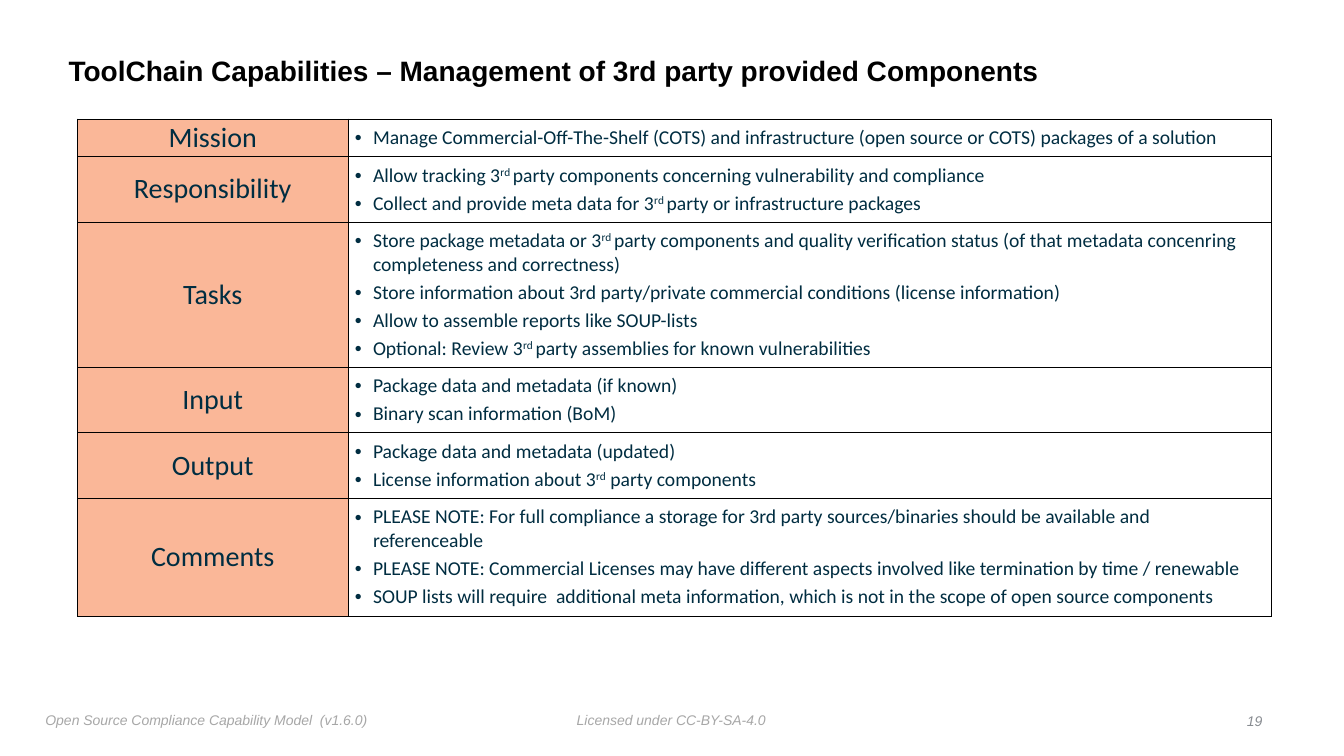
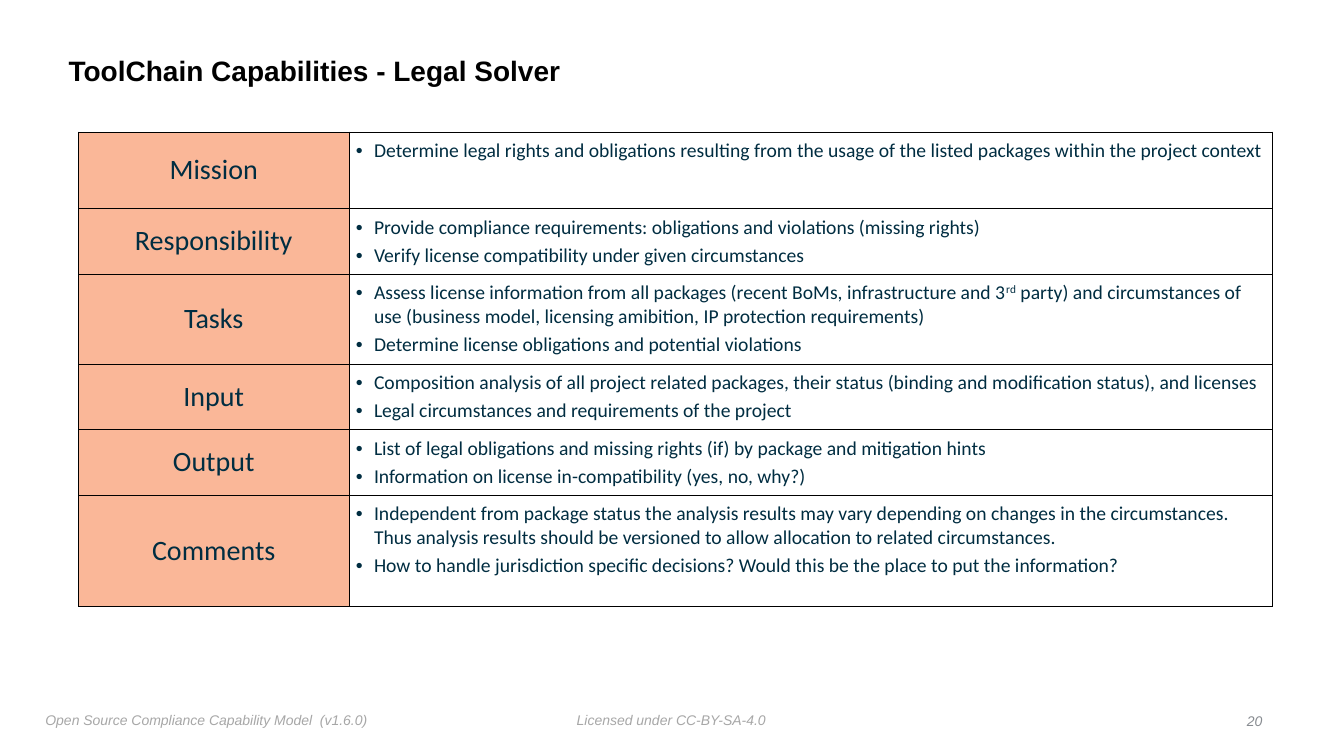
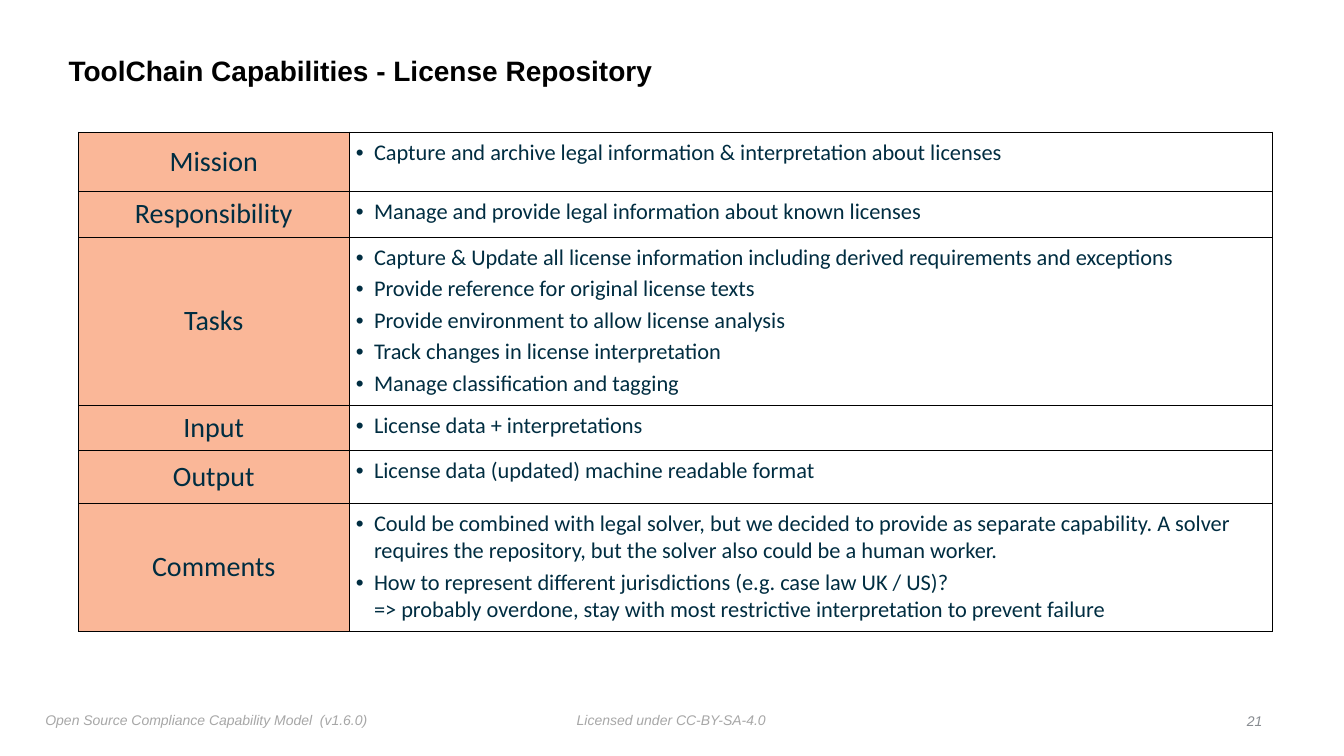
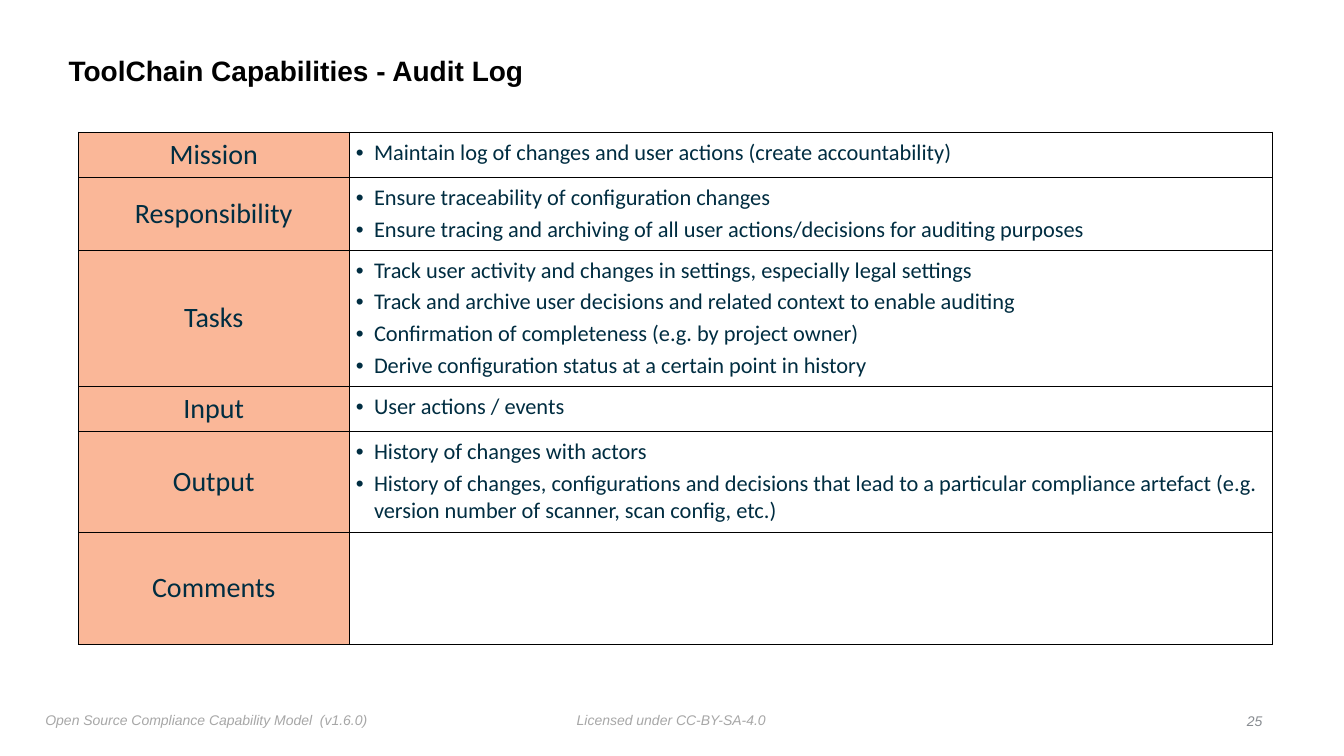
from lxml.etree import SubElement
from pptx import Presentation
from pptx.dml.color import RGBColor
from pptx.enum.text import MSO_ANCHOR as Anchor, PP_ALIGN as Align
from pptx.oxml.ns import qn
from pptx.util import Inches, Pt

BLACK = RGBColor(0x00, 0x00, 0x00)
NAVY = RGBColor(0x00, 0x2D, 0x41)
PEACH = RGBColor(0xFA, 0xB7, 0x98)
FOOTER_GREY = RGBColor(0xA7, 0xA7, 0xA7)
NUMBER_GREY = RGBColor(0x88, 0x8C, 0x91)

LABELS = ["Mission", "Responsibility", "Tasks", "Input", "Output", "Comments"]
COLUMN_WIDTHS = [2.68, 9.16]
INDENT = Inches(0.18)

# Content: one list of bullets per label; text between ^ marks is superscript
SLIDES = [
    {
        "title": "ToolChain Capabilities – Management of 3rd party provided Components",
        "number": 19, "corner": (0.77, 1.18), "size": 14,
        "heights": [0.37, 0.65, 1.44, 0.65, 0.65, 1.17],
        "bullets": [
            ["Manage Commercial-Off-The-Shelf (COTS) and infrastructure (open source or COTS) packages of a solution"],
            ["Allow tracking 3^rd ^party components concerning vulnerability and compliance",
             "Collect and provide meta data for 3^rd ^party or infrastructure packages"],
            ["Store package metadata or 3^rd ^party components and quality verification status "
             "(of that metadata concenring completeness and correctness)",
             "Store information about 3rd party/private commercial conditions (license information)",
             "Allow to assemble reports like SOUP-lists",
             "Optional: Review 3^rd ^party assemblies for known vulnerabilities"],
            ["Package data and metadata (if known)",
             "Binary scan information (BoM)"],
            ["Package data and metadata (updated)",
             "License information about 3^rd^ party components"],
            ["PLEASE NOTE: For full compliance a storage for 3rd party sources/binaries "
             "should be available and referenceable",
             "PLEASE NOTE: Commercial Licenses may have different aspects involved "
             "like termination by time / renewable",
             "SOUP lists will require  additional meta information, "
             "which is not in the scope of open source components"],
        ],
    },
    {
        "title": "ToolChain Capabilities - Legal Solver",
        "number": 20, "corner": (0.78, 1.31), "size": 14,
        "heights": [0.76, 0.65, 0.89, 0.65, 0.65, 1.11],
        "bullets": [
            ["Determine legal rights and obligations resulting from the usage "
             "of the listed packages within the project context"],
            ["Provide compliance requirements: obligations and violations (missing rights)",
             "Verify license compatibility under given circumstances"],
            ["Assess license information from all packages (recent BoMs, infrastructure and 3^rd^ party) "
             "and circumstances of use (business model, licensing amibition, IP protection requirements)",
             "Determine license obligations and potential violations"],
            ["Composition analysis of all project related packages, their status "
             "(binding and modification status), and licenses",
             "Legal circumstances and requirements of the project"],
            ["List of legal obligations and missing rights (if) by package and mitigation hints",
             "Information on license in-compatibility (yes, no, why?)"],
            ["Independent from package status the analysis results may vary depending on changes in the "
             "circumstances. Thus analysis results should be versioned to allow allocation to related "
             "circumstances.",
             "How to handle jurisdiction specific decisions? Would this be the place to put the information?"],
        ],
    },
    {
        "title": "ToolChain Capabilities - License Repository",
        "number": 21, "corner": (0.78, 1.31), "size": 16,
        "heights": [0.59, 0.45, 1.67, 0.45, 0.52, 1.27],
        "bullets": [
            ["Capture and archive legal information & interpretation about licenses"],
            ["Manage and provide legal information about known licenses"],
            ["Capture & Update all license information including derived requirements and exceptions",
             "Provide reference for original license texts",
             "Provide environment to allow license analysis",
             "Track changes in license interpretation",
             "Manage classification and tagging"],
            ["License data + interpretations"],
            ["License data (updated) machine readable format"],
            ["Could be combined with legal solver, but we decided to provide as separate capability. "
             "A solver requires the repository, but the solver also could be a human worker.",
             "How to represent different jurisdictions (e.g. case law UK / US)?\n"
             "=> probably overdone, stay with most restrictive interpretation to prevent failure"],
        ],
    },
    {
        "title": "ToolChain Capabilities - Audit Log",
        "number": 25, "corner": (0.78, 1.31), "size": 16,
        "heights": [0.45, 0.72, 1.35, 0.45, 1.0, 1.11],
        "bullets": [
            ["Maintain log of changes and user actions (create accountability)"],
            ["Ensure traceability of configuration changes",
             "Ensure tracing and archiving of all user actions/decisions for auditing purposes"],
            ["Track user activity and changes in settings, especially legal settings",
             "Track and archive user decisions and related context to enable auditing",
             "Confirmation of completeness (e.g. by project owner)",
             "Derive configuration status at a certain point in history"],
            ["User actions / events"],
            ["History of changes with actors",
             "History of changes, configurations and decisions that lead to a particular compliance "
             "artefact (e.g. version number of scanner, scan config, etc.)"],
            [],
        ],
    },
]


def set_font(paragraph, name, size, color, bold=False, italic=False):
    font = paragraph.font
    font.name, font.size = name, Pt(size)
    font.bold, font.italic = bold, italic
    font.color.rgb = color


def set_margins(target, margin):
    target.margin_left = target.margin_right = Inches(margin)
    target.margin_top = target.margin_bottom = Inches(margin)


def add_text(slide, box, text, size, color, wrap=False, anchor=Anchor.TOP, align=Align.LEFT, **style):
    frame = slide.shapes.add_textbox(*map(Inches, box)).text_frame
    frame.word_wrap = wrap
    frame.vertical_anchor = anchor
    set_margins(frame, 0.05)
    paragraph = frame.paragraphs[0]
    paragraph.text = text
    paragraph.alignment = align
    set_font(paragraph, "Arial", size, color, **style)
    return paragraph


def add_frame(slide, title, number):
    """Title, footers and slide number."""
    add_text(slide, (5.67, 7.01, 1.99, 0.25), "Licensed under CC-BY-SA-4.0", 10, FOOTER_GREY, italic=True)
    add_text(slide, (0.4, 7.01, 3.32, 0.27), "Open Source Compliance Capability Model  (v1.6.0)",
             10, FOOTER_GREY, italic=True)
    heading = add_text(slide, (0.63, 0.39, 10.75, 0.65), title, 20, BLACK,
                       wrap=True, anchor=Anchor.MIDDLE, bold=True)
    heading.line_spacing = 0.9
    add_text(slide, (12.3, 7.03, 0.27, 0.25), str(number), 10, NUMBER_GREY,
             anchor=Anchor.MIDDLE, align=Align.RIGHT, italic=True)


def add_borders(cell):
    properties = cell._tc.get_or_add_tcPr()
    for side in ("a:lnL", "a:lnR", "a:lnT", "a:lnB"):
        line = SubElement(properties, qn(side), w=str(Pt(0.5)))
        fill = SubElement(line, qn("a:solidFill"))
        SubElement(fill, qn("a:srgbClr"), val=str(BLACK))


def fill_label(cell, label):
    cell.fill.solid()
    cell.fill.fore_color.rgb = PEACH
    cell.vertical_anchor = Anchor.MIDDLE
    set_margins(cell, 0)
    paragraph = cell.text_frame.paragraphs[0]
    paragraph.text = label
    paragraph.alignment = Align.CENTER
    set_font(paragraph, "Calibri", 20, NAVY)


def add_runs(paragraph, text):
    for index, chunk in enumerate(text.split("^")):
        for line_index, line in enumerate(chunk.split("\n")):
            if line_index:
                paragraph.add_line_break()
            run = paragraph.add_run()
            run.text = line
            if index % 2:
                run._r.get_or_add_rPr().set("baseline", "30000")


def fill_bullets(cell, bullets, size):
    cell.fill.background()
    set_margins(cell, 0.07)
    frame = cell.text_frame
    for index, text in enumerate(bullets):
        paragraph = frame.add_paragraph() if index else frame.paragraphs[0]
        if index:
            paragraph.space_before = Pt(3)
        properties = paragraph._p.get_or_add_pPr()
        properties.set("marL", str(INDENT))
        properties.set("indent", str(-INDENT))
        SubElement(properties, qn("a:buFont"), typeface="Arial")
        SubElement(properties, qn("a:buChar"), char="•")
        add_runs(paragraph, text)
        set_font(paragraph, "Calibri", size, NAVY)


def add_capability_table(slide, corner, heights, bullets, size):
    box = (*corner, sum(COLUMN_WIDTHS), sum(heights))
    table = slide.shapes.add_table(len(LABELS), len(COLUMN_WIDTHS), *map(Inches, box)).table
    table.first_row = table.horz_banding = False
    for column, width in zip(table.columns, COLUMN_WIDTHS):
        column.width = Inches(width)
    for row, height, label, items in zip(table.rows, heights, LABELS, bullets):
        row.height = Inches(height)
        for cell in row.cells:
            add_borders(cell)
        fill_label(row.cells[0], label)
        fill_bullets(row.cells[1], items, size)


def main():
    presentation = Presentation()
    presentation.slide_width, presentation.slide_height = Inches(13.33), Inches(7.5)
    for content in SLIDES:
        slide = presentation.slides.add_slide(presentation.slide_layouts[6])
        add_frame(slide, content["title"], content["number"])
        add_capability_table(slide, content["corner"], content["heights"],
                             content["bullets"], content["size"])
    presentation.save("out.pptx")


if __name__ == "__main__":
    main()
